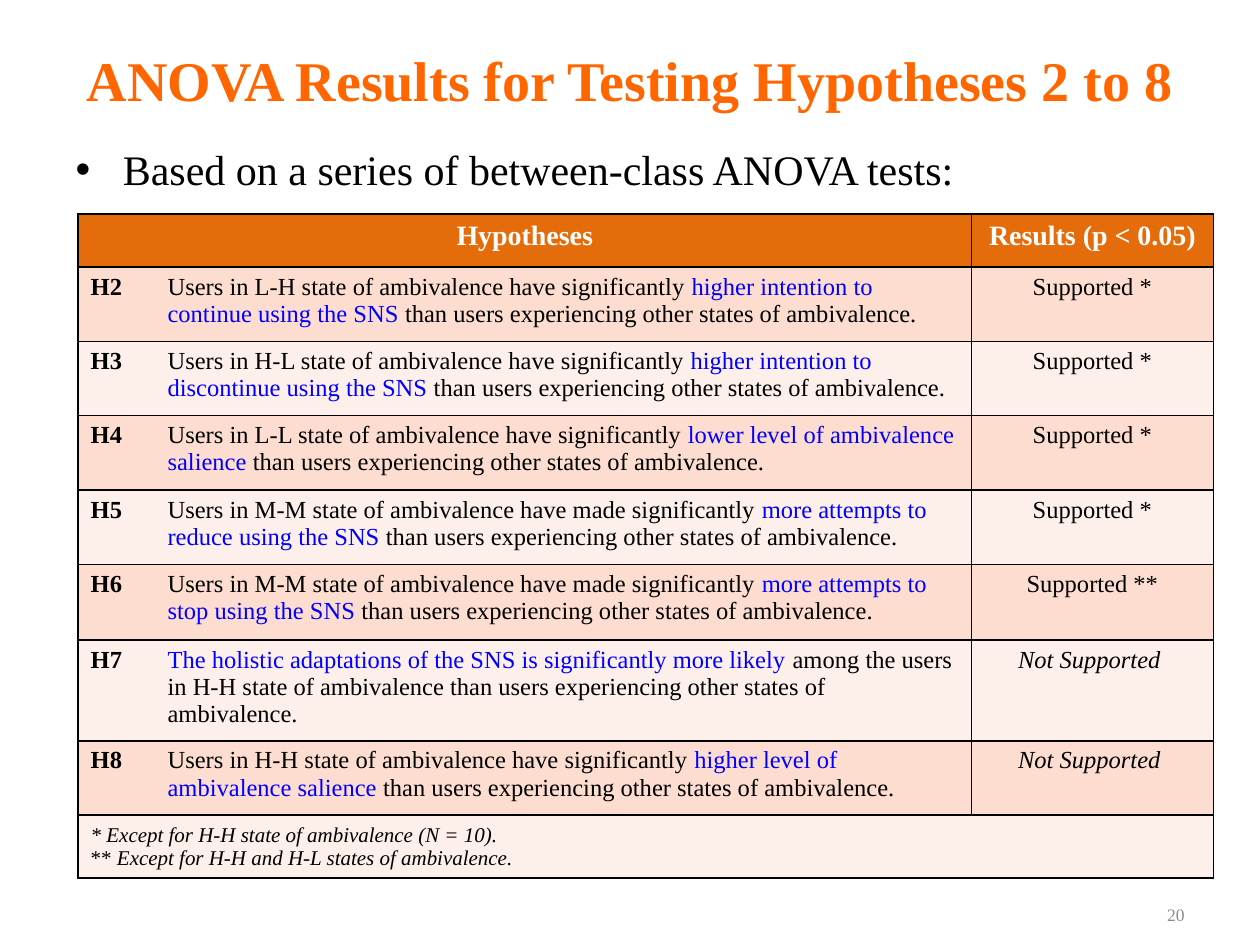
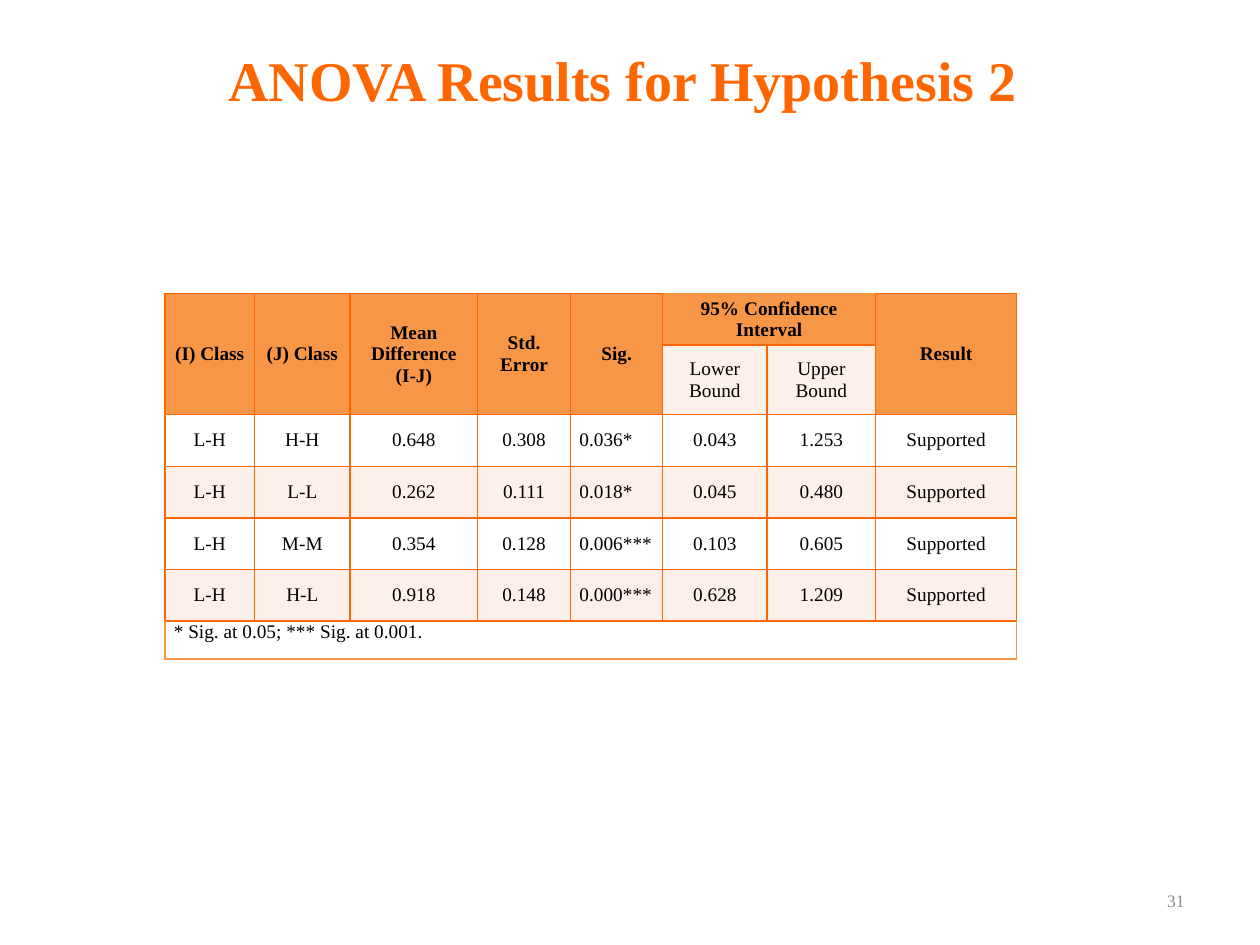
from dataclasses import dataclass
from typing import Optional

from lxml import etree
from pptx import Presentation, util as u
from pptx.dml.color import RGBColor
from pptx.enum import text
from pptx.oxml import ns

FONT = "Times New Roman"
COLORS = {
    "title": "FF6600",
    "ink": "000000",
    "finding": "0000FF",
    "page": "8C8C8C",
    "white": "FFFFFF",
    "hypothesis_header": "E46C0A",
    "band_dark": "FCDDCF",
    "band_light": "FDEFE9",
    "anova_header": "F79646",
}
TITLE_AND_CONTENT, TITLE_ONLY = 1, 5
LEFT, CENTER, RIGHT = (text.PP_ALIGN.LEFT, text.PP_ALIGN.CENTER,
                       text.PP_ALIGN.RIGHT)
TOP, MIDDLE = text.MSO_ANCHOR.TOP, text.MSO_ANCHOR.MIDDLE


@dataclass
class Span:
    text: str
    color: str = "ink"
    bold: bool = False
    italic: bool = False


@dataclass
class Hypothesis:
    label: str
    state: str
    finding: str
    comparison: str = " than users experiencing other states of ambivalence."
    result: str = "Supported *"


@dataclass
class Grid:
    left: float
    top: float
    columns: list[float]
    rows: list[float]
    border: str
    margins: tuple[float, float] = (0.1, 0.05)


HYPOTHESES = [
    Hypothesis("H2", "Users in L-H state of ambivalence have significantly ",
               "higher intention to continue using the SNS"),
    Hypothesis("H3", "Users in H-L state of ambivalence have significantly ",
               "higher intention to discontinue using the SNS"),
    Hypothesis("H4", "Users in L-L state of ambivalence have significantly ",
               "lower level of ambivalence salience"),
    Hypothesis("H5", "Users in M-M state of ambivalence have made significantly ",
               "more attempts to reduce using the SNS"),
    Hypothesis("H6", "Users in M-M state of ambivalence have made significantly ",
               "more attempts to stop using the SNS", result="Supported **"),
    Hypothesis("H7", "",
               "The holistic adaptations of the SNS is significantly more likely",
               " among the users in H-H state of ambivalence than users "
               "experiencing other states of ambivalence.", "Not Supported"),
    Hypothesis("H8", "Users in H-H state of ambivalence have significantly ",
               "higher level of ambivalence salience", result="Not Supported"),
]
ANOVA_HEADERS = ["(I) Class", "(J) Class", "Mean Difference (I-J)", "Std. Error",
                 "Sig.", "95% Confidence Interval", "", "Result"]
ANOVA_ROWS = [
    ["L-H", "H-H", "0.648", "0.308", "0.036*", "0.043", "1.253", "Supported"],
    ["L-H", "L-L", "0.262", "0.111", "0.018*", "0.045", "0.480", "Supported"],
    ["L-H", "M-M", "0.354", "0.128", "0.006***", "0.103", "0.605", "Supported"],
    ["L-H", "H-L", "0.918", "0.148", "0.000***", "0.628", "1.209", "Supported"],
]
SIG_COLUMN, INTERVAL_COLUMN = 4, 5
HYPOTHESIS_GRID = Grid(0.62, 1.7, [0.61, 6.48, 1.92],
                       [0.42] + [0.59] * 5 + [0.6, 0.59, 0.42], "ink")
HYPOTHESIS_GRID.rows[5:7] = [0.6, 0.59]
ANOVA_GRID = Grid(1.31, 2.33, [0.71, 0.76, 1.01, 0.74, 0.73, 0.83, 0.86, 1.12],
                  [0.41] * 6 + [0.3], "title", (0.07, 0))


def style_font(font, size: float, color: str, bold=False, italic=False) -> None:
    font.name = FONT
    font.size = u.Pt(size)
    font.color.rgb = RGBColor.from_string(COLORS[color])
    font.bold = bold
    font.italic = italic


def set_borders(cell, sides: str, color: Optional[str]) -> None:
    """Draw the sides (letters of LRTB); a color of None hides them."""
    properties = cell._tc.get_or_add_tcPr()
    for side in sides:
        tag = ns.qn(f"a:ln{side}")
        for old in properties.findall(tag):
            properties.remove(old)
        line = etree.Element(tag, w=str(u.Pt(1)))
        if color is None:
            etree.SubElement(line, ns.qn("a:noFill"))
        else:
            paint = etree.SubElement(line, ns.qn("a:solidFill"))
            etree.SubElement(paint, ns.qn("a:srgbClr"), val=COLORS[color])
        earlier = [ns.qn(f"a:ln{s}") for s in "LRTB"["LRTB".index(side)::-1]]
        position = sum(child.tag in earlier for child in properties)
        properties.insert(position, line)


def add_grid(slide, grid: Grid):
    table = slide.shapes.add_table(
        len(grid.rows), len(grid.columns), u.Inches(grid.left),
        u.Inches(grid.top), u.Inches(sum(grid.columns)),
        u.Inches(sum(grid.rows))).table
    table.first_row = table.horz_banding = False
    for column, width in zip(table.columns, grid.columns):
        column.width = u.Inches(width)
    for row, height in zip(table.rows, grid.rows):
        row.height = u.Inches(height)
    side, edge = (u.Inches(margin) for margin in grid.margins)
    for cell in table.iter_cells():
        cell.margin_left = cell.margin_right = side
        cell.margin_top = cell.margin_bottom = edge
        set_borders(cell, "LRTB", grid.border)
    return table


def write_cell(cell, lines: list[list[Span]], size: float, fill: str,
               align=CENTER, anchor=TOP) -> None:
    cell.fill.solid()
    cell.fill.fore_color.rgb = RGBColor.from_string(COLORS[fill])
    cell.vertical_anchor = anchor
    for index, spans in enumerate(lines):
        frame = cell.text_frame
        paragraph = frame.add_paragraph() if index else frame.paragraphs[0]
        paragraph.alignment = align
        for span in spans:
            run = paragraph.add_run()
            run.text = span.text
            style_font(run.font, size, span.color, span.bold, span.italic)


def add_titled_slide(prs, layout: int, title: str, page: str, page_top: float):
    slide = prs.slides.add_slide(prs.slide_layouts[layout])
    heading = slide.shapes.title
    heading.left, heading.top = u.Inches(0.5), u.Inches(0.16)
    heading.width, heading.height = u.Inches(9), u.Inches(0.93)
    heading.text_frame.text = title
    style_font(heading.text_frame.paragraphs[0].runs[0].font, 32, "title", True)

    number = slide.shapes.add_textbox(u.Inches(7.17), u.Inches(page_top),
                                      u.Inches(2.33), u.Inches(0.4)).text_frame
    number.word_wrap = True
    number.vertical_anchor = MIDDLE
    number.text = page
    number.paragraphs[0].alignment = RIGHT
    style_font(number.paragraphs[0].runs[0].font, 10, "page")
    return slide


def add_hypotheses_slide(prs) -> None:
    slide = add_titled_slide(prs, TITLE_AND_CONTENT,
                             "ANOVA Results for Testing Hypotheses 2 to 8",
                             "20", 7.06)
    body = slide.placeholders[1]
    body.left, body.top = u.Inches(0.5), u.Inches(1.05)
    body.width, body.height = u.Inches(9), u.Inches(5.52)
    body.text_frame.text = "Based on a series of between-class ANOVA tests:"
    intro = body.text_frame.paragraphs[0]
    intro.line_spacing = 1.1
    style_font(intro.runs[0].font, 24, "ink")

    table = add_grid(slide, HYPOTHESIS_GRID)
    table.cell(0, 0).merge(table.cell(0, 1))
    for column, header in ((0, "Hypotheses"), (2, "Results (p < 0.05)")):
        write_cell(table.cell(0, column), [[Span(header, "white", True)]], 16,
                   "hypothesis_header")

    for row, item in enumerate(HYPOTHESES, 1):
        band = "band_dark" if row % 2 else "band_light"
        label, statement, result = (table.cell(row, c) for c in range(3))
        set_borders(label, "R", None)
        set_borders(statement, "L", None)
        write_cell(label, [[Span(item.label, bold=True)]], 14, band, LEFT)
        parts = [Span(item.state), Span(item.finding, "finding"),
                 Span(item.comparison)]
        write_cell(statement, [[part for part in parts if part.text]], 14, band,
                   LEFT)
        unsupported = item.result.startswith("Not")
        # The trailing space keeps the italic result aligned as in the layout.
        ending = " " if unsupported else ""
        write_cell(result, [[Span(item.result + ending, italic=unsupported)]],
                   14, band)

    last = len(HYPOTHESES) + 1
    table.cell(last, 0).merge(table.cell(last, 2))
    write_cell(table.cell(last, 0), [
        [Span("* Except for H-H state of ambivalence (N = 10).", italic=True)],
        [Span("** "),
         Span("Except for H-H and H-L states of ambivalence.", italic=True)],
    ], 12, "band_light", LEFT, MIDDLE)


def add_anova_slide(prs) -> None:
    slide = add_titled_slide(prs, TITLE_ONLY, "ANOVA Results for Hypothesis 2 ",
                             "31", 6.95)
    table = add_grid(slide, ANOVA_GRID)
    interval = (INTERVAL_COLUMN, INTERVAL_COLUMN + 1)
    table.cell(0, interval[0]).merge(table.cell(0, interval[1]))
    for column, header in enumerate(ANOVA_HEADERS):
        cell = table.cell(0, column)
        if column in interval:
            set_borders(cell, "T", "anova_header")
        else:
            cell.merge(table.cell(1, column))
        if header:
            write_cell(cell, [[Span(header, bold=True)]], 11, "anova_header",
                       anchor=MIDDLE)
    for column, bound in zip(interval, ("Lower Bound", "Upper Bound")):
        write_cell(table.cell(1, column), [[Span(bound)]], 11, "band_light",
                   anchor=MIDDLE)

    for row, values in enumerate(ANOVA_ROWS, 2):
        for column, value in enumerate(values):
            write_cell(table.cell(row, column), [[Span(value)]], 11,
                       "band_light" if row % 2 else "white",
                       LEFT if column == SIG_COLUMN else CENTER, MIDDLE)

    last = len(ANOVA_ROWS) + 2
    for column in range(len(ANOVA_HEADERS)):
        set_borders(table.cell(last, column), "LRB", "anova_header")
    table.cell(last, 0).merge(table.cell(last, len(ANOVA_HEADERS) - 1))
    write_cell(table.cell(last, 0),
               [[Span("* Sig. at 0.05; *** Sig. at 0.001.")]], 11, "white", LEFT)


def main() -> None:
    prs = Presentation()
    prs.slide_width, prs.slide_height = u.Inches(10), u.Inches(7.5)
    add_hypotheses_slide(prs)
    add_anova_slide(prs)
    prs.save("out.pptx")


if __name__ == "__main__":
    main()
